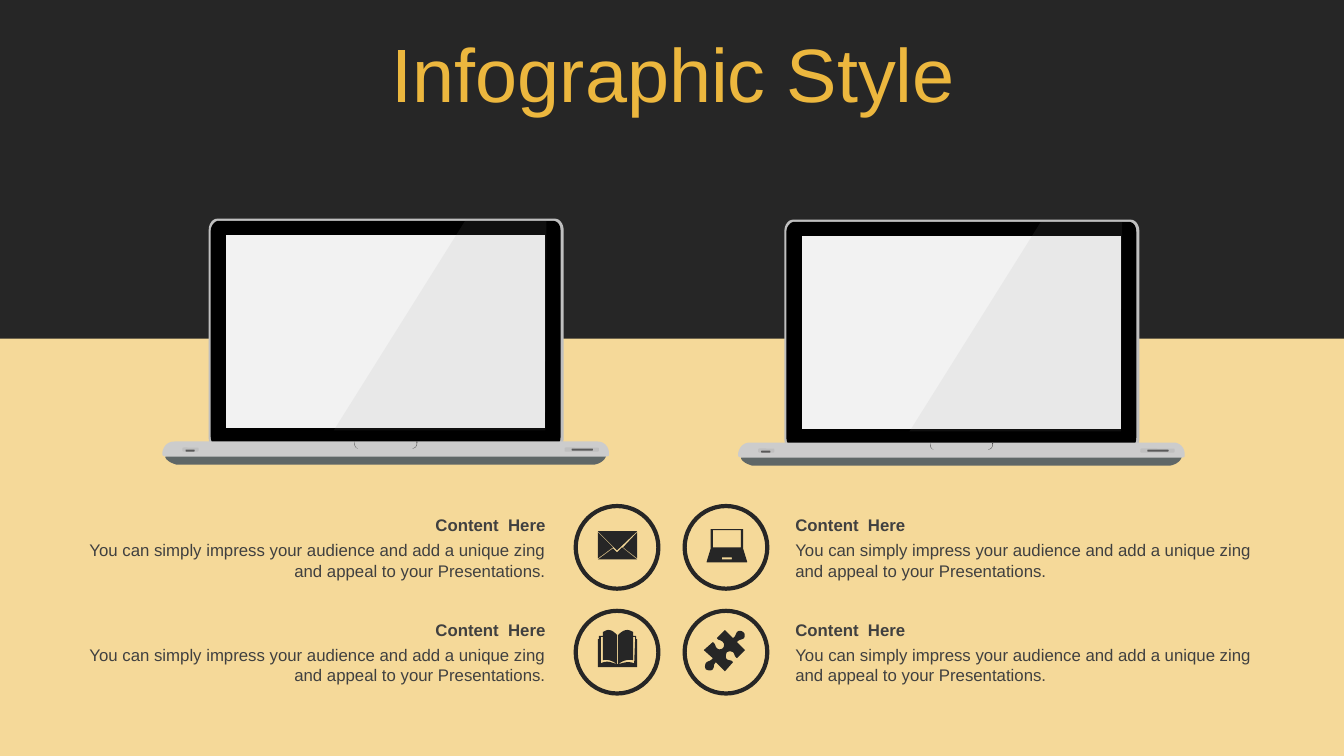
from dataclasses import dataclass

from lxml import etree
from pptx import Presentation
from pptx.dml.color import RGBColor
from pptx.enum import shapes, text
from pptx.oxml import ns
from pptx.util import Inches, Pt


@dataclass(frozen=True)
class Theme:
    """Colours, font and type sizes of the slide."""
    dark: str = "262626"
    sand: str = "F5D999"
    gold: str = "ECB73E"
    ink: str = "404040"
    rim: str = "BFBFBF"
    foot: str = "5F6767"
    bezel: str = "000000"
    screen: str = "F2F2F2"
    deck: str = "CCCCCC"
    notch: str = "4D4D4D"
    slot: str = "595959"
    glare: str = "999999"
    font: str = "Arial"
    head: int = 54
    body: int = 12


THEME = Theme()
SHAPE = shapes.MSO_SHAPE
ALIGN = text.PP_ALIGN
BLURB = ("You can simply impress your audience and add a unique zing "
         "and appeal to your Presentations.")

LAPTOP = (
    (THEME.rim, "M 5.59 4.35 C 5.59 4.41 5.55 4.45 5.51 4.45 L 2.15 4.45 "
     "C 2.11 4.45 2.07 4.41 2.07 4.35 L 2.07 2.28 C 2.07 2.22 2.11 2.17 2.15 2.17 "
     "L 5.51 2.17 C 5.55 2.17 5.59 2.22 5.59 2.28"),
    (THEME.foot, "M 5.89 4.61 C 5.89 4.61 5.98 4.6 6.01 4.53 C 6.01 4.5 6 4.49 5.97 4.49 "
     "L 1.74 4.5 L 1.68 4.5 C 1.66 4.5 1.64 4.52 1.64 4.54 C 1.67 4.59 1.73 4.6 1.75 4.61"),
    (THEME.bezel, "M 5.56 4.33 C 5.56 4.39 5.53 4.44 5.48 4.44 L 2.17 4.44 "
     "C 2.13 4.44 2.09 4.39 2.09 4.33 L 2.09 2.29 C 2.09 2.24 2.13 2.19 2.17 2.19 "
     "L 5.48 2.19 C 5.53 2.19 5.56 2.23 5.56 2.29"),
    (THEME.screen, "M 2.24 2.33 L 5.41 2.33 L 5.41 4.25 L 2.24 4.25"),
    (THEME.deck, "M 1.73 4.38 L 5.93 4.38 C 5.99 4.38 6.04 4.43 6.04 4.49 L 6.04 4.51 "
     "C 6.04 4.51 6.05 4.53 6 4.53 L 1.67 4.53 C 1.64 4.53 1.62 4.53 1.61 4.51 "
     "L 1.61 4.49 C 1.62 4.43 1.66 4.38 1.73 4.38"),
    (THEME.notch, "M 4.13 4.38 L 4.14 4.38 C 4.14 4.44 4.11 4.45 4.09 4.45 "
     "C 4.12 4.44 4.14 4.43 4.13 4.38 "
     "M 3.52 4.38 C 3.52 4.38 3.51 4.44 3.55 4.45 C 3.5 4.44 3.52 4.38 3.52 4.38"),
)
GLARE = "M 4.62 2.18 L 5.42 2.18 L 5.41 4.27 L 3.31 4.27"
SLOTS = (
    (THEME.rim, 1.81, 4.44, 0.16, 0.04), (THEME.slot, 1.84, 4.46, 0.09, 0.02),
    (THEME.rim, 5.6, 4.44, 0.34, 0.04), (THEME.slot, 5.67, 4.45, 0.21, 0.02),
)

MAIL = ("M 6.17 5.43 L 6.32 5.55 L 5.93 5.55 L 6.08 5.44 L 6.12 5.48 "
        "M 6.32 5.28 L 6.32 5.54 L 6.18 5.43 M 5.93 5.28 L 6.08 5.43 L 5.93 5.54 "
        "M 5.93 5.27 L 6.32 5.27 L 6.12 5.46")
NOTEBOOK = ("M 7.16 5.53 L 7.16 5.55 L 7.26 5.55 L 7.26 5.53 "
            "M 7.07 5.26 L 7.07 5.43 L 7.35 5.43 L 7.35 5.26 "
            "M 7.05 5.25 L 7.37 5.25 L 7.37 5.44 L 7.41 5.57 L 7.41 5.58 "
            "L 7.01 5.58 L 7.01 5.57 L 7.05 5.44")
PUZZLE = ("M 7.37 6.27 C 7.39 6.28 7.39 6.31 7.38 6.33 C 7.36 6.35 7.33 6.34 7.31 6.37 "
          "L 7.39 6.45 L 7.31 6.53 C 7.28 6.51 7.29 6.49 7.27 6.47 "
          "C 7.25 6.46 7.23 6.46 7.21 6.47 C 7.2 6.49 7.19 6.52 7.21 6.54 "
          "C 7.24 6.56 7.25 6.54 7.27 6.57 L 7.19 6.66 L 7.1 6.57 "
          "C 7.07 6.6 7.09 6.61 7.07 6.64 C 7.05 6.66 7.02 6.65 7 6.64 "
          "C 6.99 6.62 6.99 6.6 7 6.58 C 7.02 6.55 7.04 6.57 7.07 6.53 "
          "L 6.98 6.45 L 7.07 6.37 C 7.1 6.39 7.09 6.41 7.11 6.43 "
          "C 7.13 6.45 7.16 6.44 7.17 6.43 C 7.18 6.42 7.19 6.39 7.17 6.37 "
          "C 7.14 6.34 7.13 6.36 7.11 6.33 L 7.19 6.25 L 7.27 6.33 "
          "C 7.3 6.31 7.29 6.3 7.31 6.27 C 7.33 6.25 7.36 6.26 7.37 6.27")
BOOK = ("M 6.12 6.59 L 6.13 6.59 C 6.2 6.57 6.23 6.56 6.29 6.58 L 6.3 6.32 L 6.28 6.32 "
        "L 6.28 6.55 C 6.23 6.54 6.18 6.55 6.13 6.59 L 6.13 6.3 "
        "C 6.16 6.27 6.19 6.25 6.22 6.25 C 6.24 6.25 6.26 6.26 6.28 6.27 "
        "L 6.28 6.31 L 6.31 6.31 L 6.31 6.34 L 6.32 6.34 L 6.32 6.62 L 5.93 6.62 "
        "L 5.93 6.34 L 5.94 6.34 L 5.94 6.31 L 5.98 6.31 L 5.98 6.27 "
        "C 6 6.26 6.02 6.25 6.03 6.25 C 6.07 6.25 6.09 6.27 6.12 6.3 L 6.12 6.59 "
        "C 6.07 6.55 6.02 6.54 5.98 6.55 L 5.98 6.32 L 5.96 6.32 L 5.96 6.58 "
        "C 6.02 6.55 6.06 6.57 6.12 6.59")


def paint(shape, color):
    """Give a shape a flat fill with no line or shadow."""
    shape.shadow.inherit = False
    shape.fill.solid()
    shape.fill.fore_color.rgb = RGBColor.from_string(color)
    shape.line.fill.background()


def bend(ends, steps=8):
    """Return points along a cubic curve through four control points."""
    marks = [n / steps for n in range(1, steps + 1)]
    return [tuple((1 - t) ** 3 * a + 3 * t * (1 - t) ** 2 * b
                  + 3 * t * t * (1 - t) * c + t ** 3 * d
                  for a, b, c, d in zip(*ends)) for t in marks]


def trace(route):
    """Turn a route of M, L and C steps into lists of points."""
    loops = []
    for step in route.replace("M", "|M").replace("L", "|L").replace("C", "|C").split("|")[1:]:
        kind, *nums = step.split()
        vals = [float(n) for n in nums]
        dots = list(zip(vals[::2], vals[1::2]))
        if kind == "M":
            loops.append(dots)
        elif kind == "L":
            loops[-1] += dots
        else:
            loops[-1] += bend([loops[-1][-1], *dots])
    return loops


def outline(parent, route, color, dx=0, dy=0):
    """Draw a filled outline, shifted by dx and dy inches."""
    loops = [[(Inches(x + dx), Inches(y + dy)) for x, y in loop] for loop in trace(route)]
    pen = parent.build_freeform(*loops[0][0])
    pen.add_line_segments(loops[0][1:])
    for loop in loops[1:]:
        pen.move_to(*loop[0])
        pen.add_line_segments(loop[1:])
    shape = pen.convert_to_shape()
    paint(shape, color)
    return shape


def laptop(slide, dx, dy):
    """Draw one laptop as a group."""
    group = slide.shapes.add_group_shape().shapes
    for color, route in LAPTOP:
        outline(group, route, color, dx, dy)
    for color, x, y, wide, high in SLOTS:
        slot = group.add_shape(SHAPE.ROUNDED_RECTANGLE, Inches(x + dx), Inches(y + dy),
                               Inches(wide), Inches(high))
        slot.adjustments[0] = 0.28
        paint(slot, color)
    shine = outline(group, GLARE, THEME.glare, dx, dy)
    tint = shine.fill._xPr.find(ns.qn("a:solidFill"))[0]
    etree.SubElement(tint, ns.qn("a:alpha"), val="10000")


def write(frame, words, size, color, align, bold=False):
    """Write one formatted run in a text frame."""
    para = frame.paragraphs[0]
    para.alignment = align
    run = para.add_run()
    run.text = words
    run.font.name = THEME.font
    run.font.size = Pt(size)
    run.font.bold = bold
    run.font.color.rgb = RGBColor.from_string(color)
    return para


def caption(slide, x, y, wide, align):
    """Add a heading with its text below, as a group."""
    group = slide.shapes.add_group_shape().shapes
    rows = ((0, 0.3, "Content  Here", True, text.MSO_ANCHOR.MIDDLE),
            (0.25, 0.5, BLURB, False, text.MSO_ANCHOR.TOP))
    for drop, high, words, bold, anchor in rows:
        box = group.add_textbox(Inches(x), Inches(y + drop), Inches(wide), Inches(high))
        box.text_frame.word_wrap = True
        box.text_frame.vertical_anchor = anchor
        write(box.text_frame, words, THEME.body, THEME.ink, align, bold)


def ring(slide, x, y):
    """Draw an open circle for an icon."""
    shape = slide.shapes.add_shape(SHAPE.OVAL, Inches(x), Inches(y), Inches(0.82), Inches(0.82))
    shape.shadow.inherit = False
    shape.fill.background()
    shape.line.color.rgb = RGBColor.from_string(THEME.dark)
    shape.line.width = Pt(3)


def title(slide, words):
    """Place and fill the title."""
    head = slide.shapes.title
    head.left, head.top, head.width, head.height = map(Inches, (0.35, 0.31, 12.66, 0.92))
    head.text_frame.auto_size = text.MSO_AUTO_SIZE.NONE
    head.text_frame.vertical_anchor = text.MSO_ANCHOR.MIDDLE
    para = write(head.text_frame, words, THEME.head, THEME.gold, ALIGN.CENTER)
    para.line_spacing = 0.9
    para.space_before = Pt(0)


def main():
    """Build and save the slide."""
    deck = Presentation()
    deck.slide_width, deck.slide_height = Inches(13.33), Inches(7.5)
    slide = deck.slides.add_slide(deck.slide_layouts[5])
    slide.background.fill.solid()
    slide.background.fill.fore_color.rgb = RGBColor.from_string(THEME.dark)
    floor = slide.shapes.add_shape(SHAPE.RECTANGLE, 0, Inches(3.36), deck.slide_width, Inches(4.14))
    paint(floor, THEME.sand)
    title(slide, "Infographic Style")
    for dx, dy in ((0, 0), (5.71, 0.01)):
        laptop(slide, dx, dy)
    for y in (5.02, 6.06):
        for x in (5.71, 6.79):
            ring(slide, x, y)
        caption(slide, 0.67, y + 0.04, 4.84, ALIGN.RIGHT)
        caption(slide, 7.79, y + 0.04, 4.87, ALIGN.LEFT)
    for icon in (MAIL, NOTEBOOK, PUZZLE, BOOK):
        outline(slide.shapes, icon, THEME.dark)
    deck.save("out.pptx")


if __name__ == "__main__":
    main()
